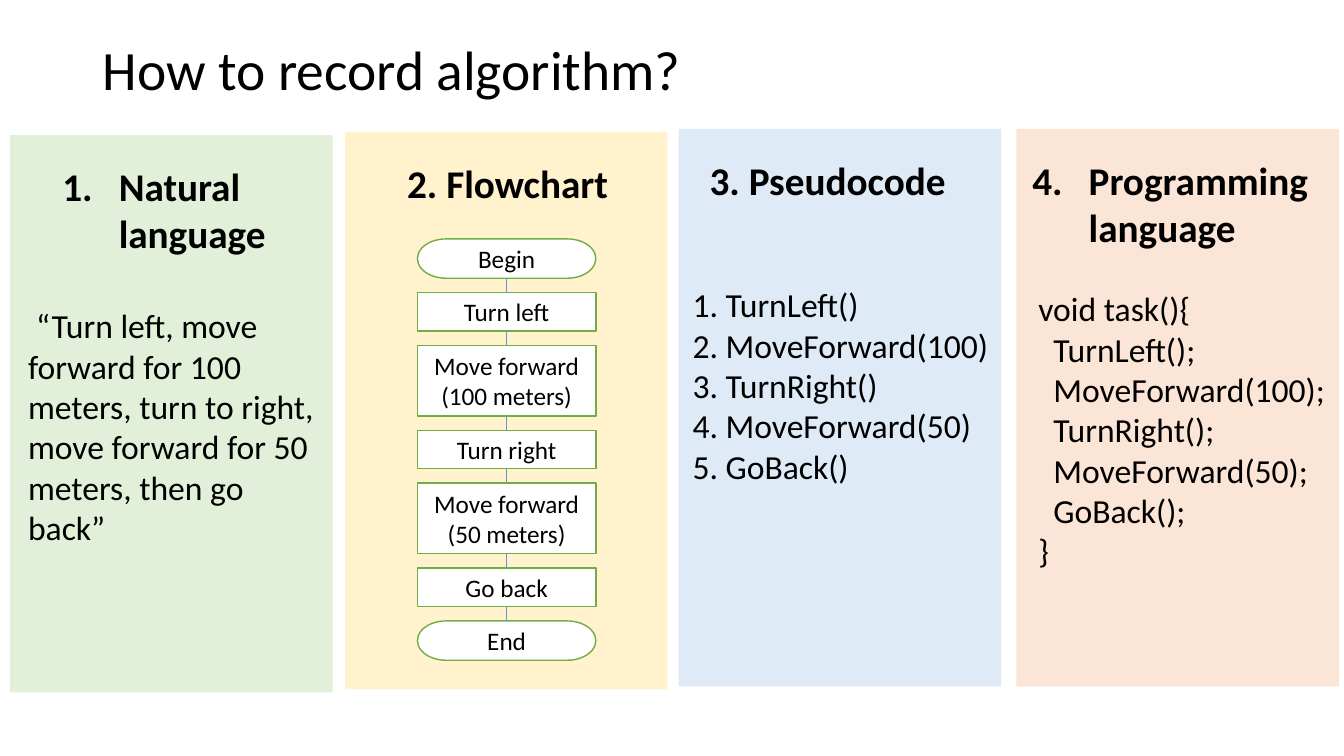
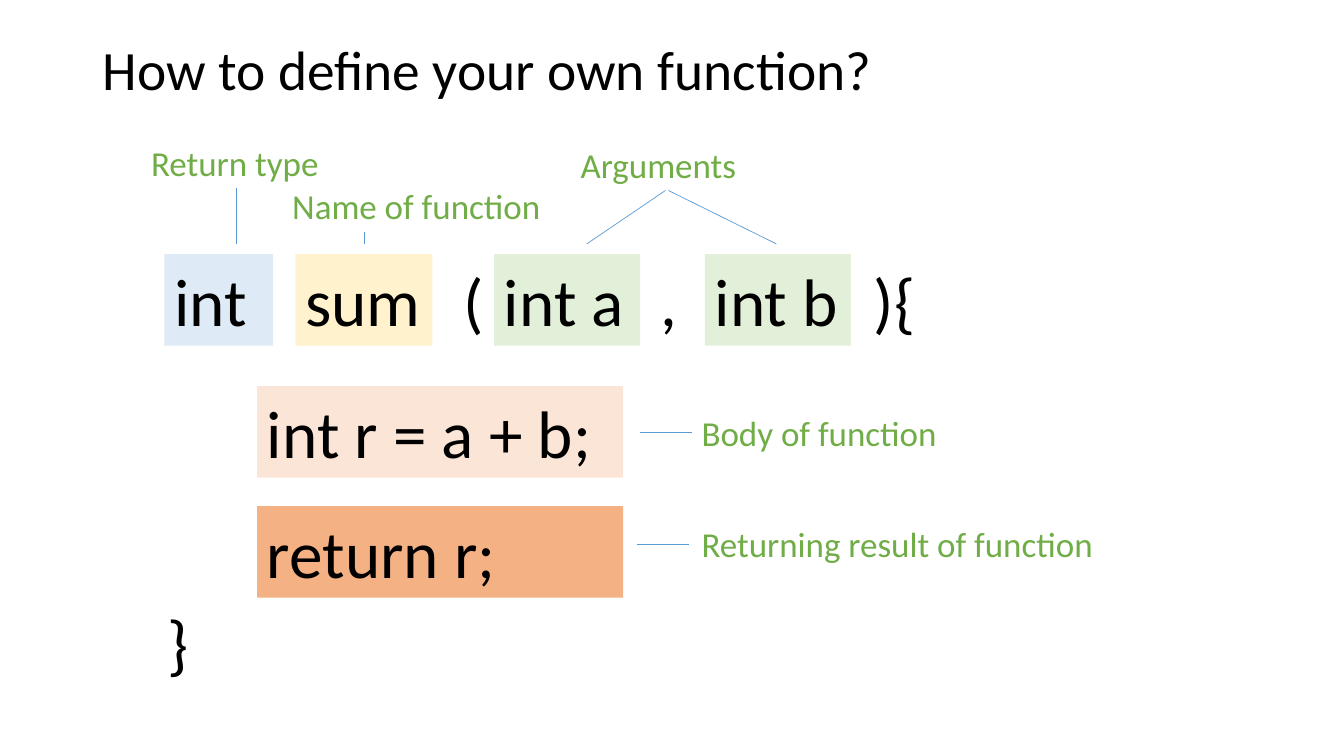
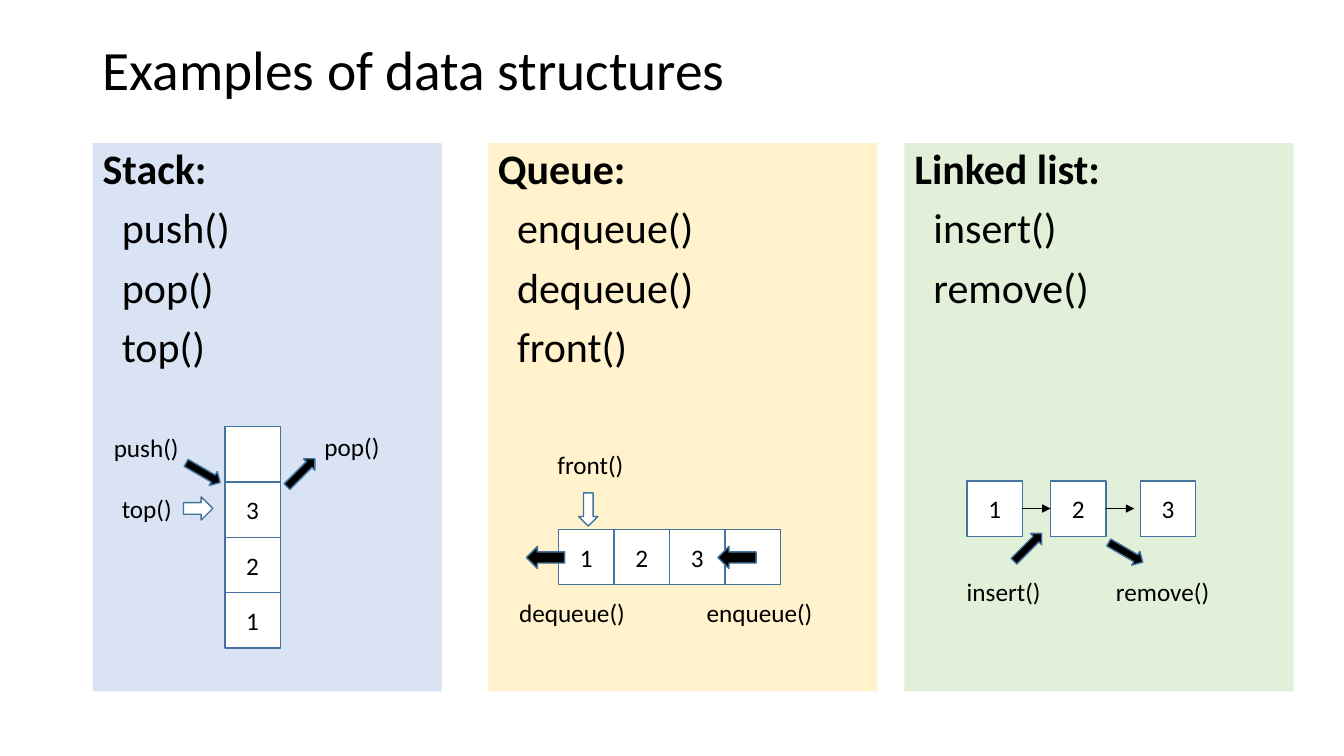
from pptx import Presentation
from pptx.dml.color import RGBColor
from pptx.enum import shapes, text
from pptx.oxml.ns import qn
from pptx.util import Inches, Pt
from lxml import etree

FONT = "Calibri"
BLACK, WHITE = "000000", "FFFFFF"
GREEN, BLUE, STEEL = "70AD47", "5B9BD5", "43739E"
PALE_GREEN, PALE_YELLOW, PALE_BLUE = "E2F0D9", "FFF2CC", "DEEBF7"
PALE_ORANGE, ORANGE, LAVENDER = "FBE5D6", "F4B183", "DAE3F3"
SHAPE = shapes.MSO_SHAPE
TOP, LEFT, BOTTOM, RIGHT = range(4)
CELL = 0.55


def rgb(color):
    return RGBColor.from_string(color)


def put_text(sp, content, size, color=BLACK, bold=False, align=None):
    tf = sp.text_frame
    tf.text = content
    for p in tf.paragraphs:
        p.alignment = align
        for r in p.runs:
            r.font.name, r.font.size, r.font.bold = FONT, Pt(size), bold
            r.font.color.rgb = rgb(color)


def label(s, x, y, w, h, content, size=18, color=BLACK, bold=False, wrap=False):
    sp = s.shapes.add_textbox(Inches(x), Inches(y), Inches(w), Inches(h))
    tf = sp.text_frame
    tf.word_wrap = wrap
    tf.auto_size = text.MSO_AUTO_SIZE.SHAPE_TO_FIT_TEXT
    put_text(sp, content, size, color, bold)
    return sp


def box(s, x, y, w, h, fill=WHITE, line=None, content="", kind=SHAPE.RECTANGLE):
    sp = s.shapes.add_shape(kind, Inches(x), Inches(y), Inches(w), Inches(h))
    sp.shadow.inherit = False
    sp.fill.solid()
    sp.fill.fore_color.rgb = rgb(fill)
    if line:
        sp.line.color.rgb = rgb(line)
        sp.line.width = Pt(1)
    else:
        sp.line.fill.background()
    if content:
        sp.text_frame.vertical_anchor = text.MSO_ANCHOR.MIDDLE
        put_text(sp, content, 18, align=text.PP_ALIGN.CENTER)
    return sp


def line(s, x1, y1, x2, y2, color=BLUE, arrowhead=False):
    cn = s.shapes.add_connector(shapes.MSO_CONNECTOR.STRAIGHT,
                                Inches(x1), Inches(y1), Inches(x2), Inches(y2))
    cn.line.color.rgb = rgb(color)
    cn.line.width = Pt(0.5)
    if arrowhead:
        etree.SubElement(cn.line._get_or_add_ln(), qn("a:tailEnd"), type="triangle")
    etree.SubElement(cn._element.spPr, qn("a:effectLst"))
    return cn


def arrow(s, x, y, w, h, rotation=0, fill=BLACK):
    sp = box(s, x, y, w, h, fill, STEEL, kind=SHAPE.RIGHT_ARROW)
    sp.rotation = rotation


def indent(p, left, first=0):
    pPr = p._p.get_or_add_pPr()
    pPr.set("marL", str(Inches(left)))
    pPr.set("indent", str(Inches(first)))
    return pPr


def number(p, start):
    """Make the paragraph an automatically numbered item."""
    pPr = indent(p, 0.56, -0.56)
    etree.SubElement(pPr, qn("a:buFont"), typeface="+mj-lt")
    etree.SubElement(pPr, qn("a:buAutoNum"), type="arabicPeriod", startAt=str(start))


def titled_slide(prs, title):
    s = prs.slides.add_slide(prs.slide_layouts[6])
    sp = s.shapes.add_textbox(Inches(0.92), Inches(0.4), Inches(11.5), Inches(0.64))
    tf = sp.text_frame
    tf.word_wrap = True
    tf.vertical_anchor = text.MSO_ANCHOR.MIDDLE
    put_text(sp, title, 39.6)
    tf.paragraphs[0].line_spacing = 0.9
    return s


# Ways to record an algorithm

def column(s, x, y, fill, heading, dx, w):
    box(s, x, y, 3.2, 5.53, fill)
    sp = label(s, x + dx, y + 0.22, w, 0.57, heading, 28, bold=True, wrap=True)
    return sp.text_frame.paragraphs[0]


def natural_language(s, x, y):
    number(column(s, x, y, PALE_GREEN, "Natural language", 0.42, 2.24), 1)
    sp = label(s, x + 0.08, y + 1.64, 3.08, 2.52,
               "“Turn left, move forward for 100 meters, turn to right, "
               "move forward for 50 meters, then go back”", 24, wrap=True)
    indent(sp.text_frame.paragraphs[0], 0, 0.08)


def flowchart(s, x, y):
    column(s, x, y, PALE_YELLOW, "2. Flowchart", 0.52, 2.6)
    steps = [("Begin", 0.39), ("Turn left", 0.38), ("Move forward (100 meters)", 0.7),
             ("Turn right", 0.38), ("Move forward (50 meters)", 0.7),
             ("Go back", 0.38), ("End", 0.39)]
    gap = (4.18 - sum(h for _, h in steps)) / (len(steps) - 1)
    top, previous = y + 1.06, None
    for name, h in steps:
        kind = SHAPE.FLOWCHART_TERMINATOR if name in ("Begin", "End") else SHAPE.RECTANGLE
        step = box(s, x + 0.72, top, 1.77, h, WHITE, GREEN, name, kind)
        if previous is not None:
            cn = line(s, x, top, x, top)
            cn.begin_connect(previous, BOTTOM)
            cn.end_connect(step, TOP)
        top, previous = top + h + gap, step


def pseudocode(s, x, y):
    column(s, x, y, PALE_BLUE, "3. Pseudocode", 0.21, 2.89)
    label(s, x + 0.04, y + 1.49, 3.45, 2.12,
          "1. TurnLeft()\n2. MoveForward(100)\n3. TurnRight()\n"
          "4. MoveForward(50)\n5. GoBack()", 24, wrap=True)


def programming_language(s, x, y):
    number(column(s, x, y, PALE_ORANGE, "Programming\vlanguage", 0.06, 3.03), 4)
    sp = label(s, x + 0.12, y + 1.53, 3.2, 2.93,
               "void task(){\nTurnLeft();\nMoveForward(100);\nTurnRight();\n"
               "MoveForward(50);\nGoBack();\n}", 24, wrap=True)
    for p in sp.text_frame.paragraphs[1:-1]:
        indent(p, 0.15)


def algorithm_slide(prs):
    s = titled_slide(prs, "How to record algorithm?")
    natural_language(s, 0.1, 1.34)
    flowchart(s, 3.42, 1.31)
    pseudocode(s, 6.73, 1.28)
    programming_language(s, 10.08, 1.28)


# Parts of a function

def token(s, x, y, w, content, fill=None):
    sp = label(s, x, y, w, 0.91, content, 48, wrap=True)
    if fill:
        sp.fill.solid()
        sp.fill.fore_color.rgb = rgb(fill)


def signature(s, x, y):
    for dx, w, content, fill in [(0, 1.08, "int", PALE_BLUE), (1.3, 1.36, "sum", PALE_YELLOW),
                                 (2.87, 0.41, "(", None), (6.94, 0.7, "){", None),
                                 (3.27, 1.45, "int a", PALE_GREEN),
                                 (5.36, 1.45, "int b", PALE_GREEN), (4.82, 0.37, ",", None)]:
        token(s, x + dx, y, w, content, fill)
    for dx, dy, w, note in [(-0.23, -1.17, 1.88, "Return type"),
                            (1.17, -0.74, 2.69, "Name of function"),
                            (4.03, -1.15, 1.88, "Arguments")]:
        label(s, x + dx, y + dy, w, 0.52, note, 25, GREEN)
    for x1, y1, x2 in [(0.71, -0.65, 0.71), (1.98, -0.22, 1.98),
                       (4.97, -0.63, 4.19), (5, -0.63, 6.07)]:
        line(s, x + x1, y + y1, x + x2, y - 0.1)


def statement(s, x, y, code, fill, note, note_w, line_dx):
    token(s, x, y, 3.63, code, fill)
    label(s, x + 4.31, y + 0.2 - (code == "return r;") * 0.09, note_w, 0.52, note, 25, GREEN)
    line(s, x + line_dx + 0.51, y + 0.46 - (code == "return r;") * 0.08,
         x + line_dx, y + 0.46 - (code == "return r;") * 0.08)


def function_slide(prs):
    s = titled_slide(prs, "How to define your own function?")
    signature(s, 1.63, 2.52)
    statement(s, 2.55, 3.83, "int r = a + b;", PALE_ORANGE, "Body of function", 2.56, 3.8)
    statement(s, 2.55, 5.02, "return r;", ORANGE, "Returning result of function", 4.13, 3.77)
    token(s, 1.56, 5.92, 0.41, "}")


# Data structures

def structure(s, x, y, w, fill, name, methods):
    sp = box(s, x, y, w, 5.44, fill)
    sp.text_frame.vertical_anchor = text.MSO_ANCHOR.TOP
    put_text(sp, "\n".join([name] + methods), 30, align=text.PP_ALIGN.LEFT)
    heading, *rest = sp.text_frame.paragraphs
    heading.runs[0].font.bold = True
    for p in [heading] + rest:
        p.line_spacing, p.space_before = 0.9, Pt(10)
    for p in rest:
        indent(p, 0.19)


def cells(s, x, y, values, dx=0.0, dy=0.0):
    for i, value in enumerate(values):
        box(s, x + i * dx, y + i * dy, CELL, CELL, WHITE, STEEL, value)


def stack(s, x, y):
    structure(s, x, y, 3.46, LAVENDER, "Stack:", ["push()", "pop()", "top()"])
    cells(s, x + 1.31, y + 2.81, ["", "3", "2", "1"], dy=CELL)
    label(s, x + 0.19, y + 3.42, 0.7, 0.4, "top()")
    arrow(s, x + 0.9, y + 3.51, 0.29, 0.23, fill=WHITE)
    arrow(s, x + 0.9, y + 3.19, 0.39, 0.16, 30)
    label(s, x + 0.11, y + 2.82, 0.85, 0.4, "push()")
    label(s, x + 2.2, y + 2.81, 0.76, 0.4, "pop()")
    arrow(s, x + 1.87, y + 3.19, 0.39, 0.16, 315)


def queue(s, x, y):
    structure(s, x, y, 3.86, PALE_YELLOW, "Queue:", ["enqueue()", "dequeue()", "front()"])
    cells(s, x + 0.7, y + 3.83, ["1", "2", "3", ""], dx=CELL)
    label(s, x + 0.59, y + 2.99, 0.87, 0.4, "front()")
    arrow(s, x + 0.83, y + 3.54, 0.33, 0.19, 90, WHITE)
    for arrow_dx, label_dx, method in [(0.38, 0.21, "dequeue()"), (2.28, 2.07, "enqueue()")]:
        arrow(s, x + arrow_dx, y + 4, 0.38, 0.22, 180)
        label(s, x + label_dx, y + 4.46, 1.27, 0.4, method)


def linked_list(s, x, y):
    structure(s, x, y, 3.86, PALE_GREEN, "Linked list:", ["insert()", "remove()"])
    first, second, _ = [box(s, x + dx, y + 3.35, CELL, CELL, WHITE, STEEL, value)
                        for dx, value in [(0.62, "1"), (1.45, "2"), (2.34, "3")]]
    link_y = y + 3.35 + CELL / 2
    link = line(s, x + 1.17, link_y, x + 1.45, link_y, BLACK, True)
    link.begin_connect(first, RIGHT)
    link.end_connect(second, LEFT)
    link = line(s, x + 2, link_y, x + 2.28, link_y, BLACK, True)
    link.begin_connect(second, RIGHT)
    arrow(s, x + 1.03, y + 3.93, 0.39, 0.16, 315)
    label(s, x + 0.52, y + 4.25, 0.94, 0.4, "insert()")
    arrow(s, x + 2, y + 3.98, 0.39, 0.16, 30)
    label(s, x + 2, y + 4.25, 1.14, 0.4, "remove()")


def structures_slide(prs):
    s = titled_slide(prs, "Examples of data structures")
    for draw, x in [(stack, 0.92), (queue, 4.84), (linked_list, 8.97)]:
        draw(s, x, 1.42)


def main():
    prs = Presentation()
    prs.slide_width, prs.slide_height = Inches(13.33), Inches(7.5)
    algorithm_slide(prs)
    function_slide(prs)
    structures_slide(prs)
    prs.save("out.pptx")


if __name__ == "__main__":
    main()
